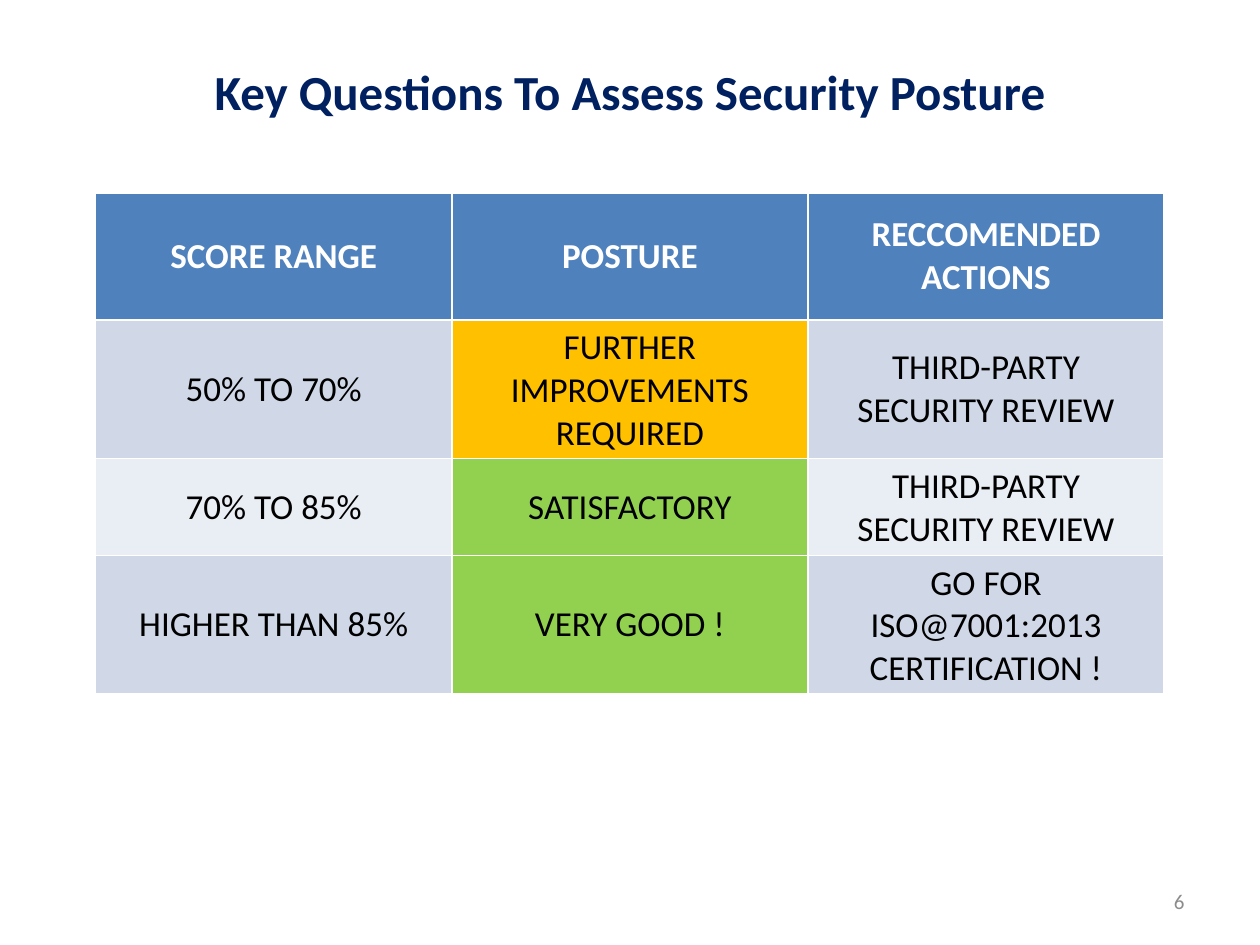
from pptx import Presentation
from pptx.dml.color import RGBColor
from pptx.enum.text import MSO_ANCHOR as Anchor, PP_ALIGN as Align
from pptx.util import Inches, Pt

FONT = "Calibri"
HEADER_FILL = "4F81BD"
BAND_FILLS = ["D0D8E8", "E9EDF4"]
AMBER, GREEN = "FFC000", "92D050"

HEADINGS = ["SCORE RANGE", "POSTURE", "RECCOMENDED ACTIONS"]
# Score range, posture, recommended action, posture colour
RATINGS = [
    ("50% TO 70%", "FURTHER IMPROVEMENTS REQUIRED", "THIRD-PARTY SECURITY REVIEW", AMBER),
    ("70% TO 85%", "SATISFACTORY", "THIRD-PARTY SECURITY REVIEW", GREEN),
    ("HIGHER THAN 85%", "VERY GOOD !", "GO FOR ISO@7001:2013 CERTIFICATION !", GREEN),
]


def color(hex_value):
    return RGBColor.from_string(hex_value)


def write(text_frame, text, size, hex_value, bold=False, align=Align.CENTER):
    text_frame.text = text
    paragraph = text_frame.paragraphs[0]
    paragraph.alignment = align
    font = paragraph.runs[0].font
    font.name, font.size, font.bold = FONT, Pt(size), bold
    font.color.rgb = color(hex_value)


def add_text(slide, left, top, width, height, text, size, hex_value, **style):
    shape = slide.shapes.add_textbox(
        Inches(left), Inches(top), Inches(width), Inches(height))
    text_frame = shape.text_frame
    text_frame.word_wrap = True
    text_frame.vertical_anchor = Anchor.MIDDLE
    write(text_frame, text, size, hex_value, **style)


def fill_cell(cell, text, fill, hex_value, bold=False):
    cell.fill.solid()
    cell.fill.fore_color.rgb = color(fill)
    cell.vertical_anchor = Anchor.MIDDLE
    write(cell.text_frame, text, 20, hex_value, bold)


def add_rating_table(slide):
    # The default table style supplies the white cell borders
    frame = slide.shapes.add_table(
        len(RATINGS) + 1, len(HEADINGS),
        Inches(0.76), Inches(1.53), Inches(8.48), Inches(3.97))
    table = frame.table

    # Rows grow from these minimum heights to fit their text
    for row in table.rows:
        row.height = Inches(0.58)
    table.rows[0].height = Inches(1.01)
    frame.height = Inches(3.97)

    # Header
    for column, heading in enumerate(HEADINGS):
        fill_cell(table.cell(0, column), heading, HEADER_FILL, "FFFFFF", bold=True)

    # Banded ratings with a coloured posture column
    for index, (score, posture, action, posture_fill) in enumerate(RATINGS):
        band = BAND_FILLS[index % 2]
        cells = [(score, band), (posture, posture_fill), (action, band)]
        for column, (text, fill) in enumerate(cells):
            fill_cell(table.cell(index + 1, column), text, fill, "000000")


def main():
    presentation = Presentation()
    presentation.slide_width, presentation.slide_height = Inches(10), Inches(7.5)
    slide = presentation.slides.add_slide(presentation.slide_layouts[6])

    # Page number, title and table
    add_text(slide, 7.17, 6.95, 2.33, 0.4, "6", 12, "8C8C8C", align=Align.RIGHT)
    add_text(slide, 0.5, 0.23, 9, 0.98, "Key Questions To Assess Security Posture",
             28, "002060", bold=True)
    add_rating_table(slide)

    presentation.save("out.pptx")


if __name__ == "__main__":
    main()
